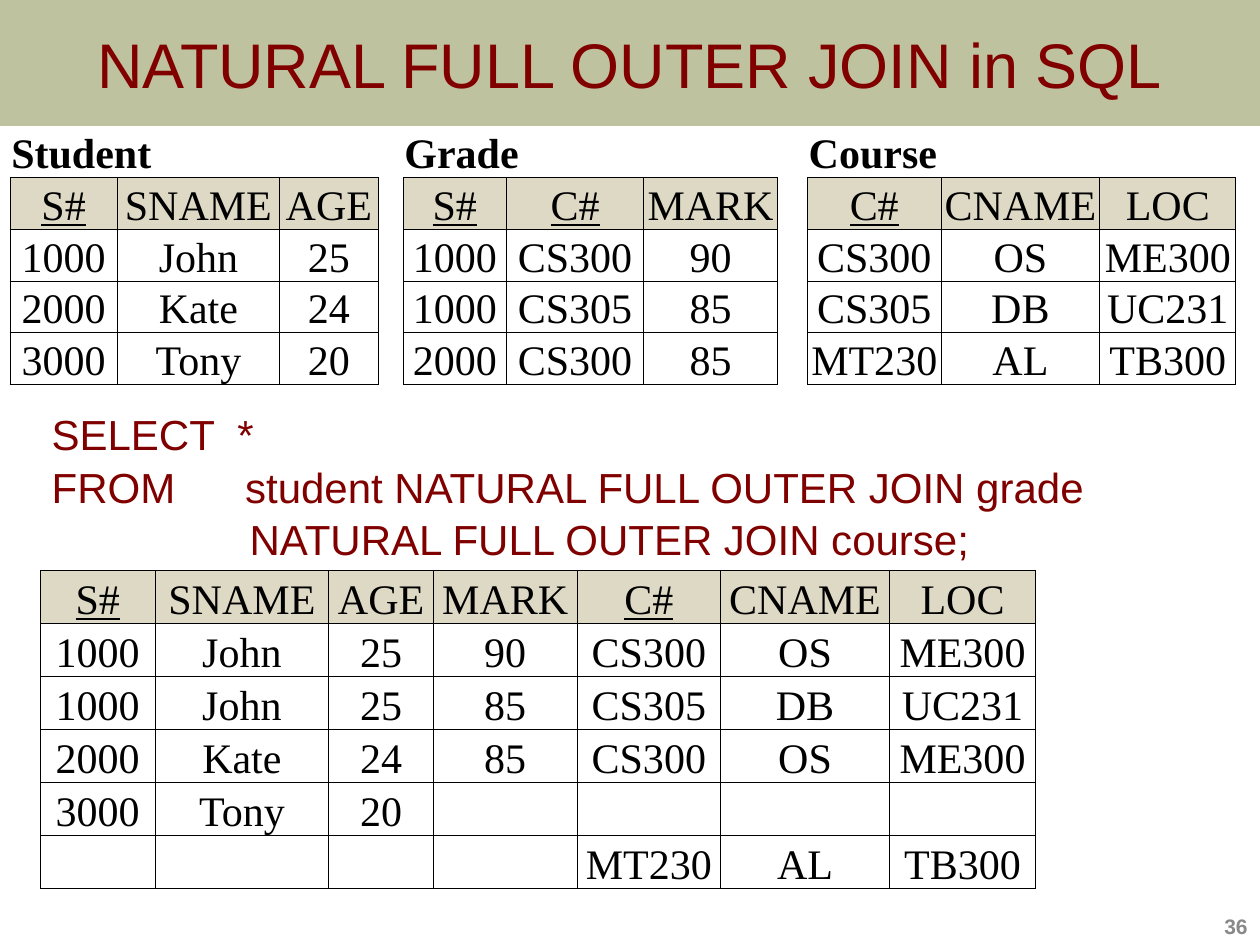
from pptx import Presentation
from pptx.dml.color import RGBColor
from pptx.enum.text import MSO_ANCHOR as Anchor, MSO_AUTO_SIZE as AutoSize, PP_ALIGN as Align
from pptx.oxml import parse_xml
from pptx.oxml.ns import nsdecls, qn
from pptx.oxml.xmlchemy import OxmlElement
from pptx.util import Inches, Pt

MAROON = RGBColor(0x80, 0x00, 0x00)
OLIVE = RGBColor(0x6E, 0x75, 0x24)
TAN = RGBColor(0xDD, 0xD9, 0xC4)
GRAY = RGBColor(0x89, 0x89, 0x89)
BLACK = RGBColor(0x00, 0x00, 0x00)
WHITE = RGBColor(0xFF, 0xFF, 0xFF)
NO_STYLE = "{2D5ABB26-0587-4C30-8999-92F81FD0307C}"
KEYS = ("S#", "C#")


def write(para, text, size=24, font="Arial", color=MAROON, bold=False,
          underline=False, align=Align.LEFT):
    para.alignment = align
    span = para.add_run()
    span.text = text
    span.font.size = Pt(size)
    span.font.name = font
    span.font.color.rgb = color
    span.font.bold = bold
    span.font.underline = underline


def style_cell(cell, text, fill, sides, **text_format):
    """Fill a cell, draw thin lines on the given sides (L, R, T, B) and write its text."""
    cell.margin_left = cell.margin_right = cell.margin_top = Inches(0.01)
    cell.margin_bottom = 0
    cell.vertical_anchor = Anchor.BOTTOM
    properties = cell._tc.get_or_add_tcPr()
    for side in sides:
        properties.append(parse_xml(
            f'<a:ln{side} w="6350" {nsdecls("a")}><a:solidFill>'
            f'<a:srgbClr val="{BLACK}"/></a:solidFill></a:ln{side}>'))
    cell.fill.solid()
    cell.fill.fore_color.rgb = fill
    if text:
        write(cell.text_frame.paragraphs[0], text, font="Times New Roman",
              color=BLACK, **text_format)


deck = Presentation()
deck.slide_width, deck.slide_height = Inches(10), Inches(7.5)
page = deck.slides.add_slide(deck.slide_layouts[1])

# Title band
title = page.shapes.title
title.left, title.top, title.width, title.height = 0, 0, Inches(10), Inches(1)
title.fill.solid()
title.fill.fore_color.rgb = OLIVE
alpha = OxmlElement("a:alpha")
alpha.set("val", "44000")
title.fill._xPr.find(qn("a:solidFill"))[0].append(alpha)
title.text_frame.vertical_anchor = Anchor.MIDDLE
title.text_frame.auto_size = AutoSize.NONE
write(title.text_frame.paragraphs[0], "NATURAL FULL OUTER JOIN in SQL",
      size=36, align=Align.CENTER)

# Query
query = page.placeholders[1]
query.left, query.top = Inches(0.31), Inches(3.17)
query.width, query.height = Inches(9.06), Inches(1.33)
frame = query.text_frame
frame.auto_size = AutoSize.NONE
frame.margin_right = 0
QUERY = ["SELECT  *",
         "FROM      student NATURAL FULL OUTER JOIN grade",
         "                 NATURAL FULL OUTER JOIN course;"]
for index, line in enumerate(QUERY):
    para = frame.add_paragraph() if index else frame.paragraphs[0]
    layout = para._p.get_or_add_pPr()
    layout.set("marL", "0")
    layout.set("indent", "0")
    layout.append(OxmlElement("a:buNone"))
    para.space_before = Pt(0)
    para.line_spacing = 1.05
    write(para, line)

# Page number
number = page.shapes.add_textbox(Inches(7.92), Inches(7), Inches(2.08), Inches(0.5))
number.text_frame.word_wrap = True
number.text_frame.vertical_anchor = Anchor.BOTTOM
write(number.text_frame.paragraphs[0], "36", size=12, color=GRAY, bold=True, align=Align.RIGHT)

# Join result, then the three source tables side by side in one grid
RESULT = [
    ["S#", "SNAME", "AGE", "MARK", "C#", "CNAME", "LOC"],
    ["1000", "John", "25", "90", "CS300", "OS", "ME300"],
    ["1000", "John", "25", "85", "CS305", "DB", "UC231"],
    ["2000", "Kate", "24", "85", "CS300", "OS", "ME300"],
    ["3000", "Tony", "20", "", "", "", ""],
    ["", "", "", "", "MT230", "AL", "TB300"],
]
SOURCES = [
    ["Student", "", "", "", "Grade", "", "", "", "Course", "", ""],
    ["S#", "SNAME", "AGE", "", "S#", "C#", "MARK", "", "C#", "CNAME", "LOC"],
    ["1000", "John", "25", "", "1000", "CS300", "90", "", "CS300", "OS", "ME300"],
    ["2000", "Kate", "24", "", "1000", "CS305", "85", "", "CS305", "DB", "UC231"],
    ["3000", "Tony", "20", "", "2000", "CS300", "85", "", "MT230", "AL", "TB300"],
]
# rows, left, top, row height, column widths, header row, gap columns
GRIDS = [
    (RESULT, 0.32, 4.53, 0.42, [0.91, 1.38, 0.83, 1.14, 1.14, 1.34, 1.16], 0, ()),
    (SOURCES, 0.08, 1, 0.38,
     [0.85, 1.29, 0.78, 0.2, 0.82, 1.09, 1.06, 0.24, 1.06, 1.26, 1.08], 1, (3, 7)),
]
for rows, left, top, row_height, widths, header, gaps in GRIDS:
    table = page.shapes.add_table(
        len(rows), len(widths), Inches(left), Inches(top),
        Inches(sum(widths)), Inches(row_height * len(rows))).table
    table._tbl.tblPr.find(qn("a:tableStyleId")).text = NO_STYLE
    for column, width in zip(table.columns, widths):
        column.width = Inches(width)
    for r, row in enumerate(rows):
        table.rows[r].height = Inches(row_height)
        for c, text in enumerate(row):
            cell = table.cell(r, c)
            if r < header:
                style_cell(cell, text, WHITE, "" if c in gaps else "B", bold=True)
                if text:
                    cell.merge(table.cell(r, c + 2))
            elif c in gaps:
                style_cell(cell, text, WHITE, "LR")
            else:
                style_cell(cell, text, TAN if r == header else WHITE, "LRTB",
                           underline=text in KEYS, align=Align.CENTER)

deck.save("out.pptx")
